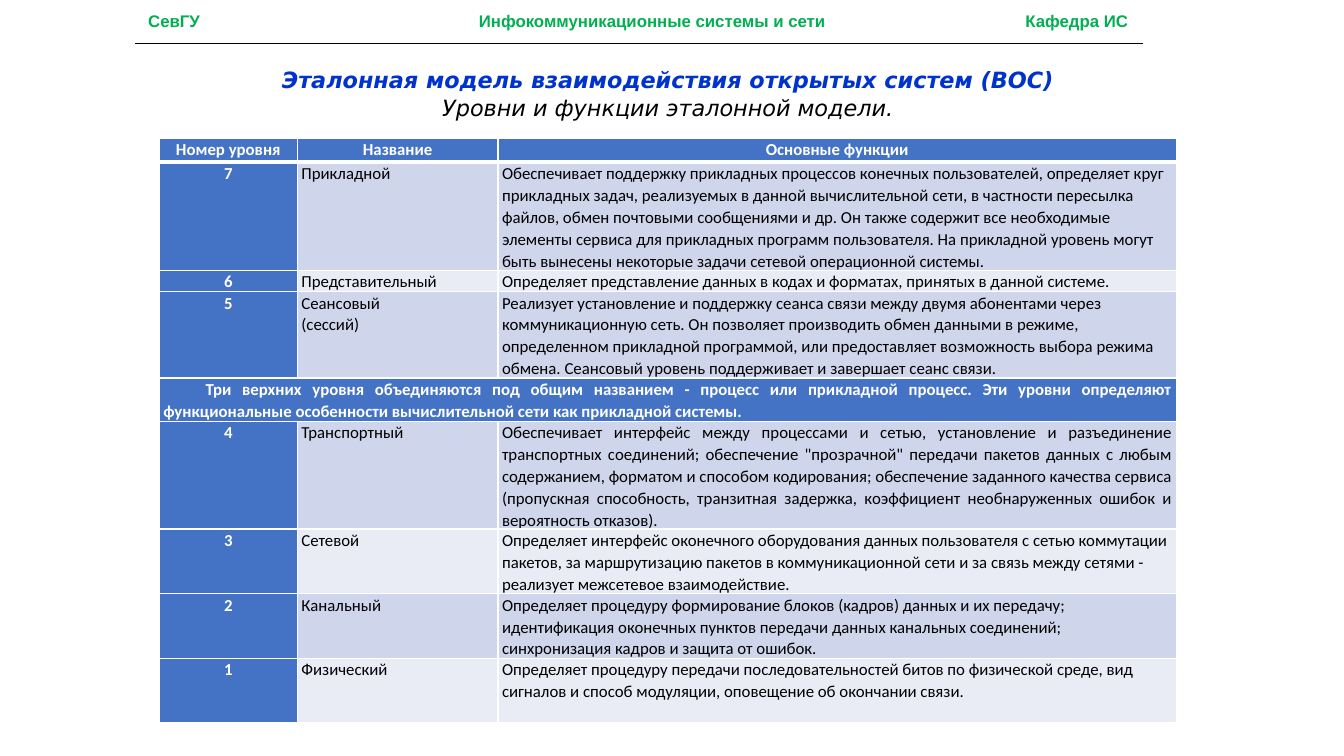
from dataclasses import dataclass

from lxml import etree
from pptx import Presentation
from pptx.dml.color import RGBColor
from pptx.enum import shapes, text
from pptx.oxml import ns
from pptx.util import Inches, Pt

BLUE, DARK_BAND, LIGHT_BAND = "4472C4", "CFD5EA", "E9EBF5"
WHITE, BLACK, GREEN, TITLE_BLUE = "FFFFFF", "000000", "00B050", "0033CC"
LEFT, CENTER, JUSTIFY = text.PP_ALIGN.LEFT, text.PP_ALIGN.CENTER, text.PP_ALIGN.JUSTIFY


@dataclass(frozen=True)
class Style:
    font: str
    size: float
    color: str
    bold: bool = False
    italic: bool = False


@dataclass(frozen=True)
class Row:
    height: float
    cells: tuple[str, ...]
    function_align: text.PP_ALIGN = LEFT


PLAIN = Style("Calibri", 12, BLACK)
STRONG = Style("Calibri", 12, WHITE, bold=True)
COLUMN_WIDTHS = (1.37, 1.99, 6.73)
ROWS = (
    Row(0.24, ("Номер уровня", "Название", "Основные функции")),
    Row(1.07, ("7", "Прикладной", "Обеспечивает поддержку прикладных процессов конечных пользователей, определяет круг прикладных задач, реализуемых в данной вычислительной сети, в частности пересылка файлов, обмен почтовыми сообщениями и др. Он также содержит все необходимые элементы сервиса для прикладных программ пользователя. На прикладной уровень могут быть вынесены некоторые задачи сетевой операционной системы.")),
    Row(0.21, ("6", "Представительный", "Определяет представление данных в кодах и форматах, принятых в данной системе.")),
    Row(0.85, ("5", "Сеансовый\n(сессий)", "Реализует установление и поддержку сеанса связи между двумя абонентами через коммуникационную сеть. Он позволяет производить обмен данными в режиме, определенном прикладной программой, или предоставляет возможность выбора режима обмена. Сеансовый уровень поддерживает и завершает сеанс связи.")),
    Row(0.43, ("Три верхних уровня объединяются под общим названием - процесс или прикладной процесс. Эти уровни определяют функциональные особенности вычислительной сети как прикладной системы.",)),
    Row(1.07, ("4", "Транспортный", "Обеспечивает интерфейс между процессами и сетью, установление и разъединение транспортных соединений; обеспечение \"прозрачной\" передачи пакетов данных с любым содержанием, форматом и способом кодирования; обеспечение заданного качества сервиса (пропускная способность, транзитная задержка, коэффициент необнаруженных ошибок и вероятность отказов)."), JUSTIFY),
    Row(0.64, ("3", "Сетевой", "Определяет интерфейс оконечного оборудования данных пользователя с сетью коммутации пакетов, за маршрутизацию пакетов в коммуникационной сети и за связь между сетями - реализует межсетевое взаимодействие.")),
    Row(0.64, ("2", "Канальный", "Определяет процедуру формирование блоков (кадров) данных и их передачу; идентификация оконечных пунктов передачи данных канальных соединений; синхронизация кадров и защита от ошибок.")),
    Row(0.64, ("1", "Физический", "Определяет процедуру передачи последовательностей битов по физической среде, вид сигналов и способ модуляции, оповещение об окончании связи.")),
)


def rgb(value: str) -> RGBColor:
    return RGBColor.from_string(value)


def add_run(paragraph, content: str, style: Style) -> None:
    run = paragraph.add_run()
    run.text = content
    run.font.name, run.font.size = style.font, Pt(style.size)
    run.font.bold, run.font.italic = style.bold, style.italic
    run.font.color.rgb = rgb(style.color)


def set_borders(cell, top: float, bottom: float) -> None:
    properties = cell._tc.get_or_add_tcPr()
    for side, width in (("L", 1), ("R", 1), ("T", top), ("B", bottom)):
        line = etree.SubElement(properties, ns.qn(f"a:ln{side}"), w=str(Pt(width)))
        fill = etree.SubElement(line, ns.qn("a:solidFill"))
        etree.SubElement(fill, ns.qn("a:srgbClr"), val=WHITE)


def fill_cell(cell, content: str, style: Style, align: text.PP_ALIGN, fill: str) -> None:
    cell.margin_left = cell.margin_right = Inches(0.04)
    cell.margin_top = cell.margin_bottom = 0
    cell.vertical_anchor = text.MSO_ANCHOR.TOP
    cell.fill.solid()
    cell.fill.fore_color.rgb = rgb(fill)
    frame = cell.text_frame
    for index, part in enumerate(content.split("\n")):
        paragraph = frame.add_paragraph() if index else frame.paragraphs[0]
        paragraph.alignment, paragraph.line_spacing = align, 1.07
        add_run(paragraph, part, style)


def add_header(slide) -> None:
    box = slide.shapes.add_textbox(Inches(1.34), Inches(0.06), Inches(10), Inches(0.3))
    frame = box.text_frame
    frame.word_wrap = True
    frame.margin_left = Inches(0.13)
    paragraph = frame.paragraphs[0]
    tabs = etree.SubElement(paragraph._p.get_or_add_pPr(), ns.qn("a:tabLst"))
    for position, align in ((5.0, "ctr"), (9.72, "r")):
        etree.SubElement(tabs, ns.qn("a:tab"), pos=str(Inches(position)), algn=align)
    add_run(paragraph, "СевГУ\tИнфокоммуникационные системы и сети\tКафедра ИС",
            Style("Arial", 12, GREEN, bold=True))

    rule = slide.shapes.add_connector(shapes.MSO_CONNECTOR.STRAIGHT, Inches(1.34),
                                      Inches(0.43), Inches(11.34), Inches(0.43))
    rule.line.color.rgb, rule.line.width = rgb(BLACK), Pt(0.75)
    etree.SubElement(rule._element.spPr, ns.qn("a:effectLst"))


def add_title(slide) -> None:
    title = slide.shapes.title
    title.left, title.top = Inches(1.98), Inches(0.67)
    title.width, title.height = Inches(9.29), Inches(0.58)
    frame = title.text_frame
    frame.word_wrap, frame.auto_size = True, text.MSO_AUTO_SIZE.NONE
    frame.vertical_anchor = text.MSO_ANCHOR.MIDDLE
    lines = (
        ("Эталонная модель взаимодействия открытых систем (ВОС)", TITLE_BLUE, True),
        ("Уровни и функции эталонной модели.", BLACK, False),
    )
    for index, (content, color, bold) in enumerate(lines):
        paragraph = frame.add_paragraph() if index else frame.paragraphs[0]
        paragraph.alignment, paragraph.line_spacing = CENTER, 0.7
        paragraph.space_before = Pt(6.4 if index else 0)
        add_run(paragraph, content, Style("DejaVu Sans", 16, color, bold, italic=True))


def add_levels_table(slide) -> None:
    table = slide.shapes.add_table(
        len(ROWS), len(COLUMN_WIDTHS), Inches(1.58), Inches(1.37),
        Inches(sum(COLUMN_WIDTHS)), Inches(sum(row.height for row in ROWS))).table
    for column, width in zip(table.columns, COLUMN_WIDTHS):
        column.width = Inches(width)
    for index, row in enumerate(ROWS):
        table.rows[index].height = Inches(row.height)
        band = DARK_BAND if index % 2 else LIGHT_BAND
        for column in range(len(COLUMN_WIDTHS)):
            set_borders(table.cell(index, column), top=3 if index == 1 else 1,
                        bottom=3 if index == 0 else 1)
        # A single text spans the whole row
        if len(row.cells) == 1:
            cell = table.cell(index, 0)
            cell.merge(table.cell(index, len(COLUMN_WIDTHS) - 1))
            fill_cell(cell, row.cells[0], STRONG, JUSTIFY, BLUE)
            cell.text_frame.paragraphs[0]._p.get_or_add_pPr().set("indent", str(Inches(0.42)))
            continue
        for column, content in enumerate(row.cells):
            cell = table.cell(index, column)
            if index == 0 or column == 0:
                fill_cell(cell, content, STRONG, CENTER, BLUE)
            else:
                align = row.function_align if column == 2 else LEFT
                fill_cell(cell, content, PLAIN, align, band)


def main() -> None:
    presentation = Presentation()
    presentation.slide_width, presentation.slide_height = Inches(13.33), Inches(7.5)
    slide = presentation.slides.add_slide(presentation.slide_layouts[5])
    add_header(slide)
    add_title(slide)
    add_levels_table(slide)
    presentation.save("out.pptx")


if __name__ == "__main__":
    main()
